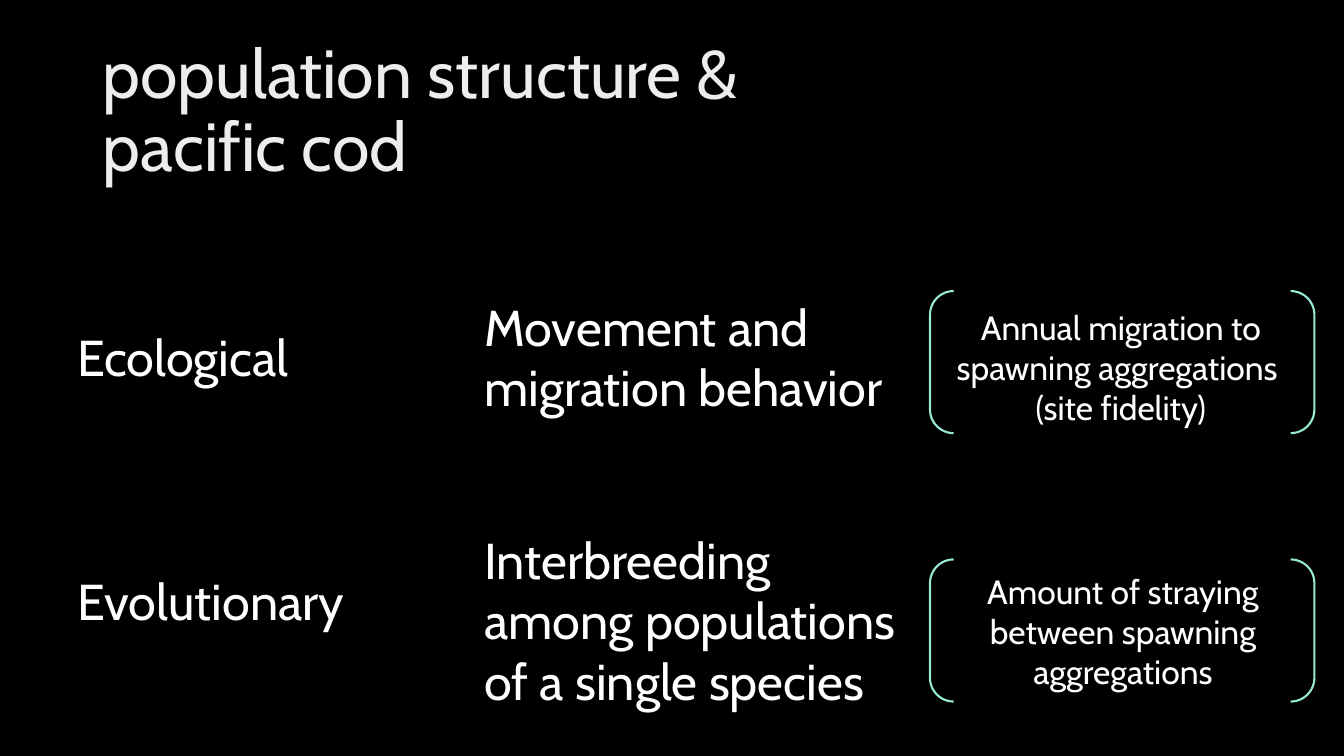
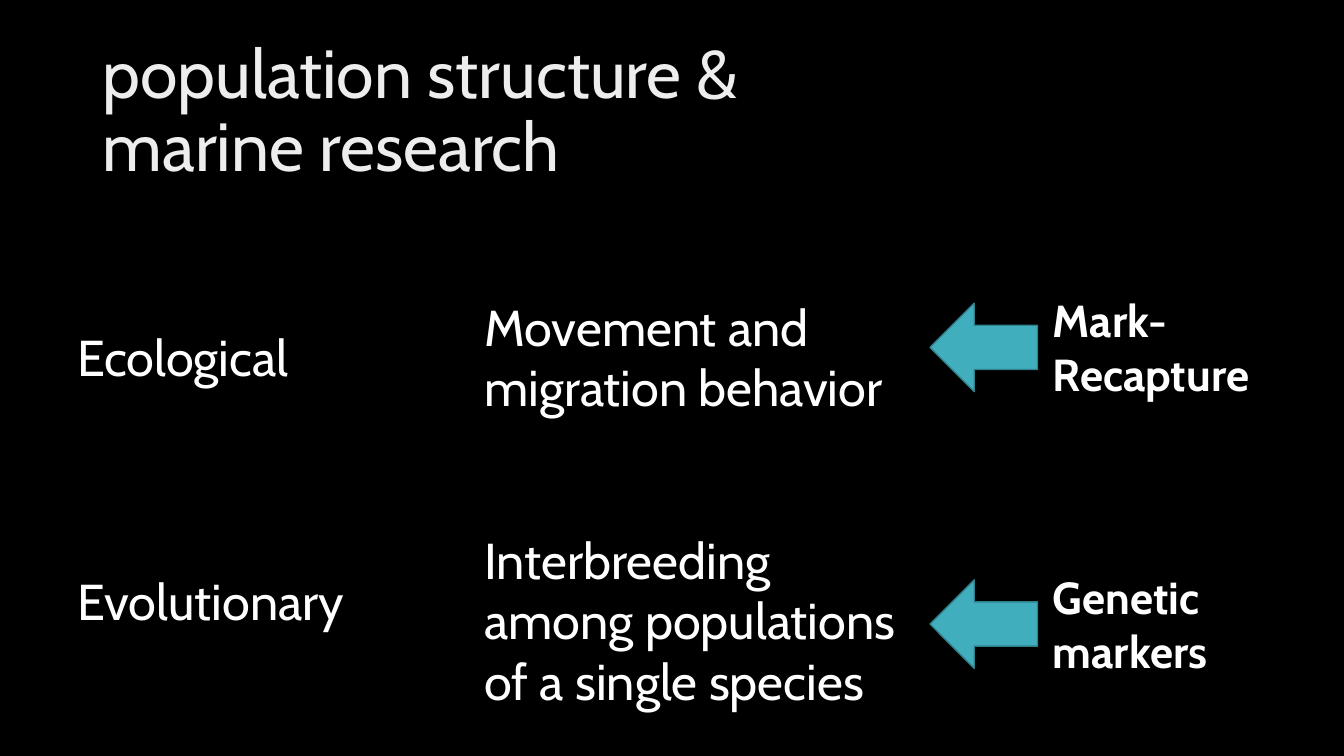
import pptx
import pptx.util
from pptx.dml.color import RGBColor
from pptx.enum.shapes import MSO_SHAPE
from pptx.enum.text import MSO_ANCHOR, PP_ALIGN

BLACK = RGBColor(0x00, 0x00, 0x00)
WHITE = RGBColor(0xFF, 0xFF, 0xFF)
TITLE_GREY = RGBColor(0xED, 0xED, 0xED)
MINT = RGBColor(0x97, 0xE9, 0xD5)
TEAL = RGBColor(0x41, 0xAE, 0xBD)
DARK_TEAL = RGBColor(0x30, 0x81, 0x8C)
FONT = "Cabin"

# Left edges of the columns, in percent of the slide's width
SCALE_X, MEANING_X, SIDE_X, METHOD_X = 5, 35.3, 69.2, 77.6


class Deck:
    """Holds the style and the current slide; lengths are percent of the slide."""

    def __init__(self):
        self.prs = pptx.Presentation()
        self.prs.slide_width = pptx.util.Inches(13.333)
        self.prs.slide_height = pptx.util.Inches(7.5)
        self.s = None

    def box(self, x, y, w, h):
        width, height = self.prs.slide_width, self.prs.slide_height
        return [round(share * side / 100) for share, side in
                ((x, width), (y, height), (w, width), (h, height))]

    def text(self, at, text, size=36, color=WHITE, bold=False, align=PP_ALIGN.LEFT):
        tf = self.s.shapes.add_textbox(*self.box(*at)).text_frame
        tf.word_wrap = True
        tf.text = text
        for p in tf.paragraphs:
            p.alignment = align
            p.font.name = FONT
            p.font.size = pptx.util.Pt(size)
            p.font.bold = bold
            p.font.color.rgb = color
        return tf

    def shape(self, kind, at, line, weight, fill=None):
        sp = self.s.shapes.add_shape(kind, *self.box(*at))
        sp.shadow.inherit = False
        if fill is None:
            sp.fill.background()
        else:
            sp.fill.solid()
            sp.fill.fore_color.rgb = fill
        sp.line.color.rgb = line
        sp.line.width = pptx.util.Pt(weight)

    def slide(self, title):
        """Starts a slide with the title and the two shared rows."""
        self.s = self.prs.slides.add_slide(self.prs.slide_layouts[6])
        self.s.background.fill.solid()
        self.s.background.fill.fore_color.rgb = BLACK
        tf = self.text((6.9, 5.3, 86.25, 19.3), title, 48.6, TITLE_GREY)
        tf.vertical_anchor = MSO_ANCHOR.MIDDLE
        tf.paragraphs[0].line_spacing = 0.9
        self.text((SCALE_X, 42.5, 24.4, 9.5), "Ecological")
        self.text((SCALE_X, 74.7, 24.4, 9.5), "Evolutionary")
        self.text((MEANING_X, 38.5, 32.6, 17.5), "Movement and migration behavior")
        self.text((MEANING_X, 69.3, 33.9, 25.6),
                  "Interbreeding among populations of a single species")

    def bracketed(self, y, text_at, text):
        self.text(text_at, text, 24, align=PP_ALIGN.CENTER)
        self.shape(MSO_SHAPE.DOUBLE_BRACKET, (SIDE_X, y, 28.6, 18.8), MINT, 1.5)

    def method(self, y, text):
        """Adds a bold research method with an arrow pointing to its row."""
        self.text((METHOD_X, y, 20.6, 15.7), text, 32, bold=True)
        self.shape(MSO_SHAPE.LEFT_ARROW, (SIDE_X, y + 2, 8, 11.7), DARK_TEAL, 1, TEAL)


def main():
    deck = Deck()

    deck.slide("population structure & \vpacific cod")
    deck.bracketed(38.5, (70.35, 39.9, 26.1, 17.5),
                   "Annual migration to spawning aggregations \n(site fidelity)")
    deck.bracketed(74, (71.2, 74.8, 24.7, 17.5),
                   "Amount of straying between spawning aggregations")

    deck.slide("population structure & \vmarine research")
    deck.method(38.1, "Mark-Recapture")
    deck.method(74.7, "Genetic markers")

    deck.prs.save("out.pptx")


if __name__ == "__main__":
    main()
